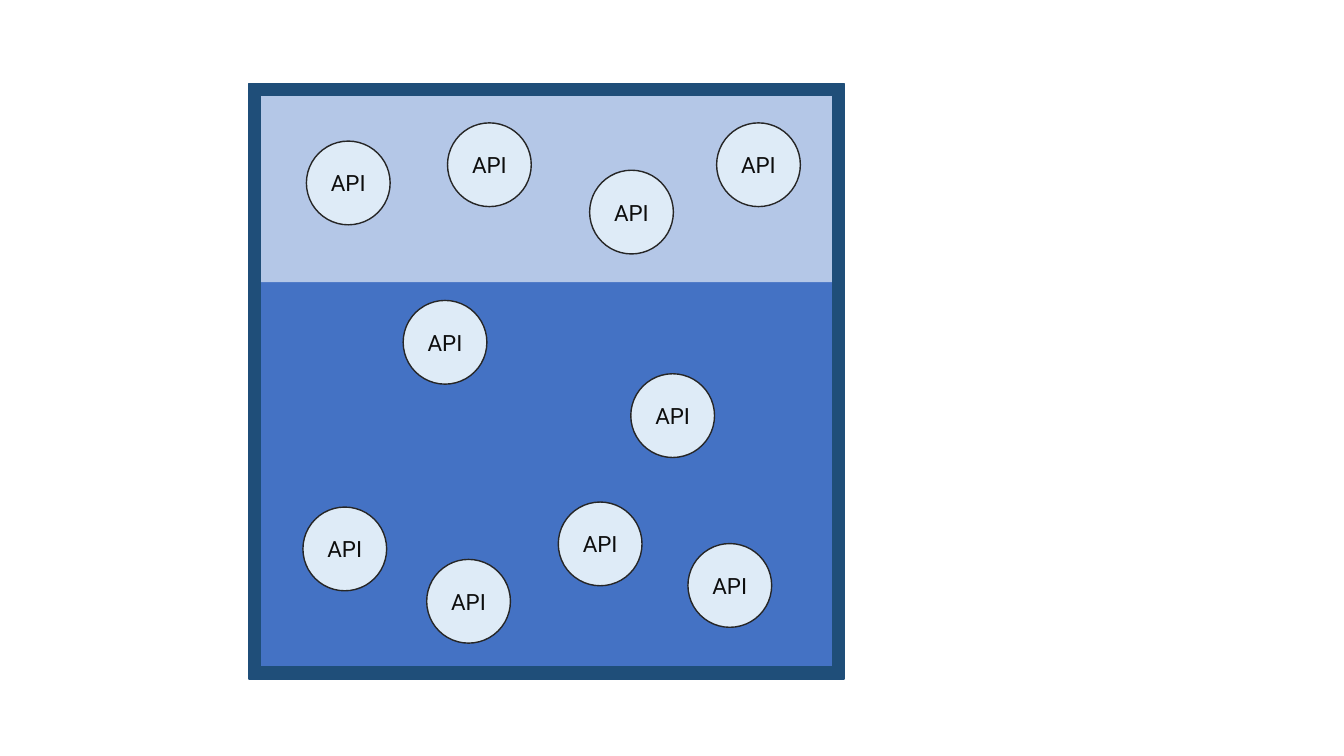
"""Build a slide of API circles spread over a framed, two-band square."""
from pptx import Presentation
from pptx.dml.color import RGBColor
from pptx.enum.shapes import MSO_SHAPE as Shape
from pptx.enum.text import MSO_ANCHOR as Anchor, PP_ALIGN as Align
from pptx.util import Pt

COLORS = {
    "lower": "4472C4",
    "upper": "B4C7E7",
    "frame": "1F4E79",
    "circle": "DEEBF7",
    "outline": "262626",
    "text": "0D0D0D",
}
LEFT, TOP, SIDE = 177.8, 59.8, 425.2
UPPER_HEIGHT = 141.8
DIAMETER = 59.8
CIRCLES = [
    (218.9, 100.8), (319.7, 87.8), (421.2, 121.6), (511.9, 87.8),
    (288, 214.6), (450.6, 267), (398.8, 358.6), (304.8, 399.6),
    (216.4, 362.2), (491.4, 388.3),
]

deck = Presentation()
deck.slide_width, deck.slide_height = Pt(960), Pt(540)
page = deck.slides.add_slide(deck.slide_layouts[6])


def add_figure(kind, left, top, width, height, fill, line=None):
    shape = page.shapes.add_shape(kind, Pt(left), Pt(top), Pt(width), Pt(height))
    shape.shadow.inherit = False
    shape.fill.solid()
    shape.fill.fore_color.rgb = RGBColor.from_string(COLORS[fill])
    if line:
        shape.line.color.rgb = RGBColor.from_string(COLORS[line])
        shape.line.width = Pt(1)
    else:
        shape.line.fill.background()
    return shape


add_figure(Shape.RECTANGLE, LEFT, TOP + UPPER_HEIGHT, SIDE, SIDE - UPPER_HEIGHT, "lower")
add_figure(Shape.RECTANGLE, LEFT, TOP, SIDE, UPPER_HEIGHT, "upper")
frame = add_figure(Shape.FRAME, LEFT, TOP, SIDE, SIDE, "frame", "frame")
frame.adjustments[0] = 0.02

for left, top in CIRCLES:
    circle = add_figure(Shape.OVAL, left, top, DIAMETER, DIAMETER, "circle", "outline")
    box = circle.text_frame
    box.margin_left = box.margin_right = 0
    box.vertical_anchor = Anchor.MIDDLE
    para = box.paragraphs[0]
    para.text = "API"
    para.alignment = Align.CENTER
    para.font.name = "Roboto"
    para.font.size = Pt(16)
    para.font.color.rgb = RGBColor.from_string(COLORS["text"])

deck.save("out.pptx")
